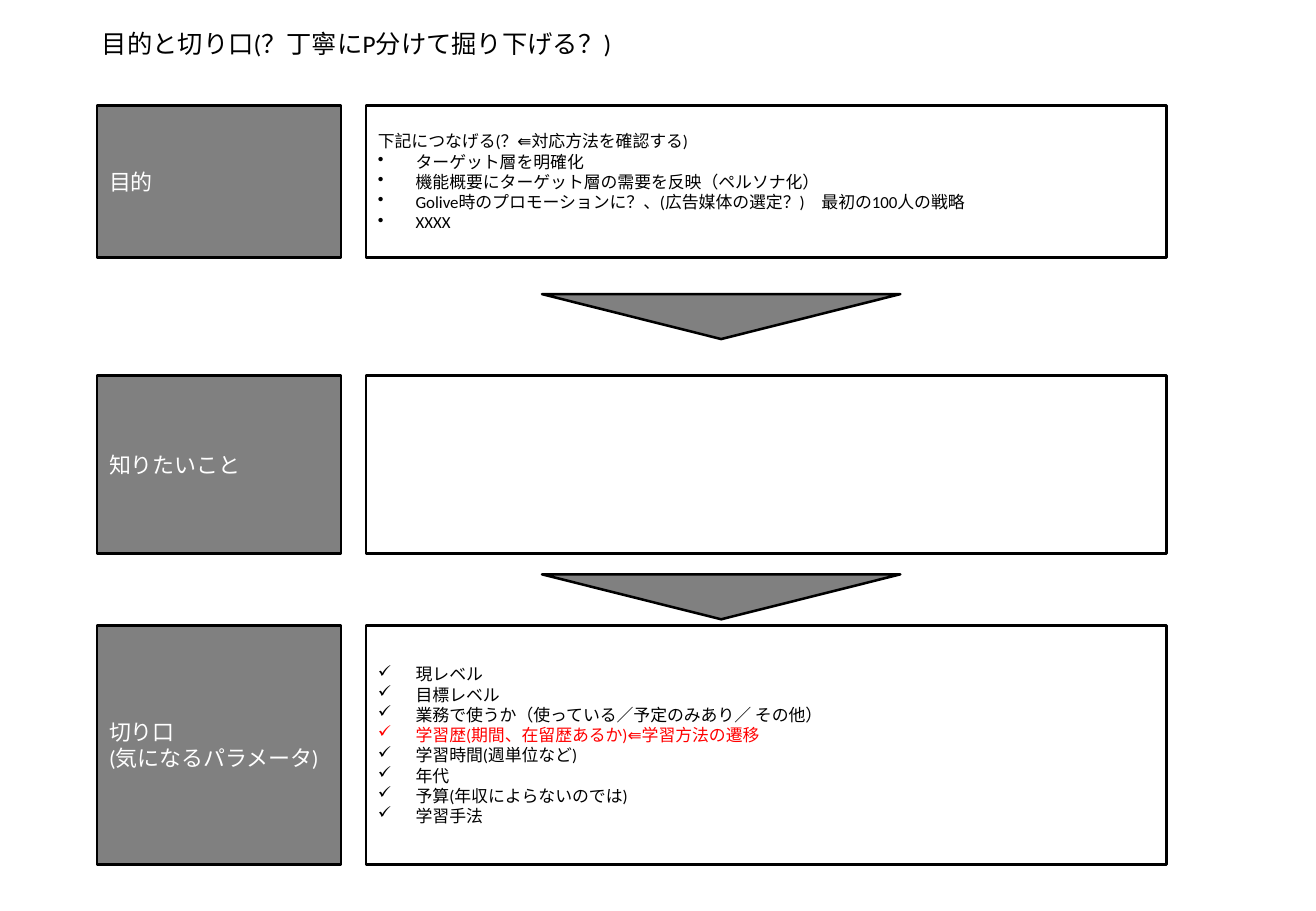
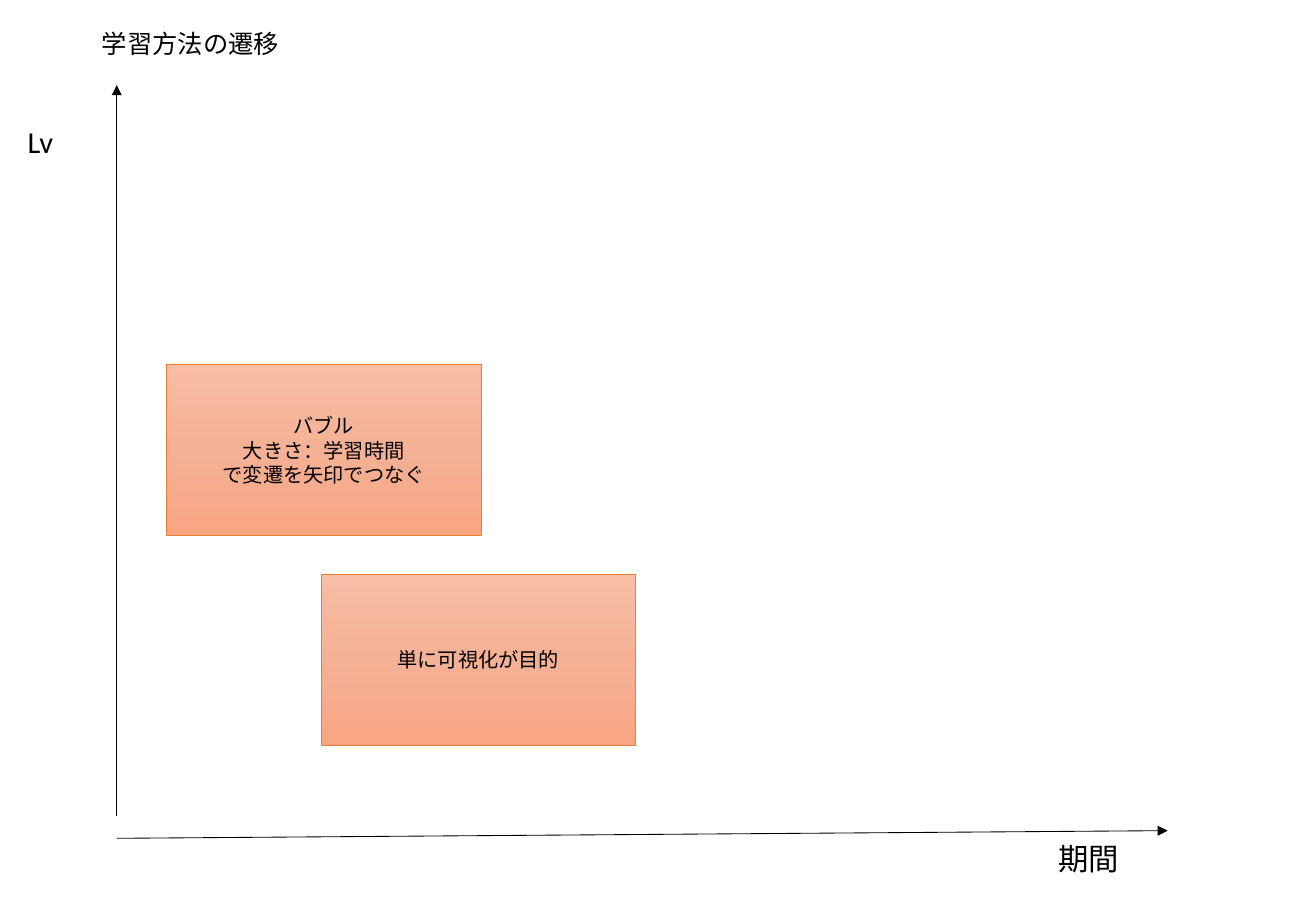
import copy
import lxml.etree
import pptx
import pptx.dml.color
import pptx.enum.dml
import pptx.enum.shapes
import pptx.enum.text
import pptx.oxml.ns
import pptx.util

Cm = pptx.util.Cm
Pt = pptx.util.Pt
qn = pptx.oxml.ns.qn
KIND = pptx.enum.shapes.MSO_SHAPE
ALIGN = pptx.enum.text.PP_ALIGN
MID = pptx.enum.text.MSO_ANCHOR.MIDDLE

FONT = "Calibri"
COLORS = {
    "black": "000000",
    "white": "FFFFFF",
    "gray": "808080",
    "red": "FF0000",
    "orange": "ED7D31",
    "top": "F7BDA5",
    "middle": "F5B196",
    "bottom": "F8A582",
}

GOALS = [
    "下記につなげる(？⇚対応方法を確認する)",
    "ターゲット層を明確化",
    "機能概要にターゲット層の需要を反映（ペルソナ化）",
    "Golive時のプロモーションに？、(広告媒体の選定？)　最初の100人の戦略",
    "XXXX",
]
ANGLES = [
    "現レベル",
    "目標レベル",
    "業務で使うか（使っている／予定のみあり／ その他）",
    "学習歴(期間、在留歴あるか)⇚学習方法の遷移",
    "学習時間(週単位など)",
    "年代",
    "予算(年収によらないのでは)",
    "学習手法",
]
ROWS = [
    (2.21, 3.18, ["目的"], GOALS, "•", 1),
    (7.85, 3.73, ["知りたいこと"], [], None, 0),
    (13.08, 5, ["切り口", "(気になるパラメータ)"], ANGLES, "✓", 0),
]


def tint(name):
    return pptx.dml.color.RGBColor.from_string(COLORS[name])


def write(shape, lines, size, color="black", align=ALIGN.LEFT):
    frame = shape.text_frame
    frame.word_wrap = True
    frame.text = "\n".join(lines)
    for para in frame.paragraphs:
        para.alignment = align
        for run in para.runs:
            run.font.size = Pt(size)
            run.font.name = FONT
            run.font.color.rgb = tint(color)


def add_text(slide, place, text, size):
    box = slide.shapes.add_textbox(*map(Cm, place))
    write(box, [text], size)
    return box


def add_title(slide, text):
    frame = add_text(slide, (1.88, 0.1, 23.72, 1.68), text, 15).text_frame
    frame.vertical_anchor = MID
    frame.paragraphs[0].line_spacing = 0.9


def add_label(slide, place, text):
    box = add_text(slide, place, text, 18)
    box.text_frame.auto_size = pptx.enum.text.MSO_AUTO_SIZE.SHAPE_TO_FIT_TEXT


def add_block(slide, place, fill=None, line="black", width=1.5, kind=KIND.RECTANGLE):
    shape = slide.shapes.add_shape(kind, *map(Cm, place))
    shape.shadow.inherit = False
    if fill:
        shape.fill.solid()
        shape.fill.fore_color.rgb = tint(fill)
    else:
        shape.fill.background()
    shape.line.color.rgb = tint(line)
    shape.line.width = Pt(width)
    shape.text_frame.vertical_anchor = MID
    return shape


def add_bullet(para, mark):
    props = para._p.get_or_add_pPr()
    props.set("marL", str(Cm(0.79)))
    props.set("indent", str(-Cm(0.79)))
    lxml.etree.SubElement(props, qn("a:buChar")).set("char", mark)


def add_row(slide, top, height, head, lines, mark, start):
    body = add_block(slide, (7.65, top, 16.74, height))
    write(body, lines, 10)
    if mark:
        for para in body.text_frame.paragraphs[start:]:
            add_bullet(para, mark)
    label = add_block(slide, (2.03, top, 5.1, height), "gray")
    write(label, head, 13, "white")
    return body


def add_wedge(slide, top):
    wedge = add_block(slide, (11.33, top, 7.49, 0.94), "gray", kind=KIND.ISOSCELES_TRIANGLE)
    wedge.rotation = 180


def add_arrow(slide, ends):
    arrow = slide.shapes.add_connector(
        pptx.enum.shapes.MSO_CONNECTOR.STRAIGHT, *map(Cm, ends))
    arrow.line.color.rgb = tint("black")
    arrow.line.width = Pt(0.5)
    tail = lxml.etree.SubElement(arrow.line._get_or_add_ln(), qn("a:tailEnd"))
    tail.set("type", "triangle")
    lxml.etree.SubElement(arrow._element.spPr, qn("a:effectLst"))


def add_note(slide, left, top, lines):
    note = add_block(slide, (left, top, 6.58, 3.58), line="orange", width=0.5)
    note.fill.gradient()
    note.fill.gradient_angle = 270
    stops = note._element.spPr.find(".//" + qn("a:gsLst"))
    stops.append(copy.deepcopy(stops[0]))
    shades = zip(note.fill.gradient_stops, ("top", "middle", "bottom"), (0, 0.5, 1))
    for stop, name, point in shades:
        stop.color.rgb = tint(name)
        stop.position = point
    write(note, lines, 12, align=ALIGN.CENTER)


def add_page(deck, title):
    slide = deck.slides.add_slide(deck.slide_layouts[6])
    add_title(slide, title)
    return slide


def build_goals(deck):
    slide = add_page(deck, "目的と切り口(？丁寧にP分けて掘り下げる？)")
    bodies = [add_row(slide, *row) for row in ROWS]
    hot = bodies[-1].text_frame.paragraphs[3]
    hot.runs[0].font.color.rgb = tint("red")
    for top in (6.15, 12.01):
        add_wedge(slide, top)


def build_chart(deck):
    slide = add_page(deck, "学習方法の遷移")
    add_arrow(slide, (2.44, 17.53, 24.41, 17.37))
    add_label(slide, (21.87, 17.45, 2.54, 1.02), "期間")
    add_arrow(slide, (2.44, 17.07, 2.44, 1.78))
    add_label(slide, (0.33, 2.46, 1.98, 1.02), "Lv")
    add_note(slide, 3.48, 7.62, ["バブル", "大きさ：学習時間", "で変遷を矢印でつなぐ"])
    add_note(slide, 6.71, 12.01, ["単に可視化が目的"])


def main():
    deck = pptx.Presentation()
    deck.slide_width = Cm(27.51)
    deck.slide_height = Cm(19.05)
    build_goals(deck)
    build_chart(deck)
    deck.save("out.pptx")


if __name__ == "__main__":
    main()
